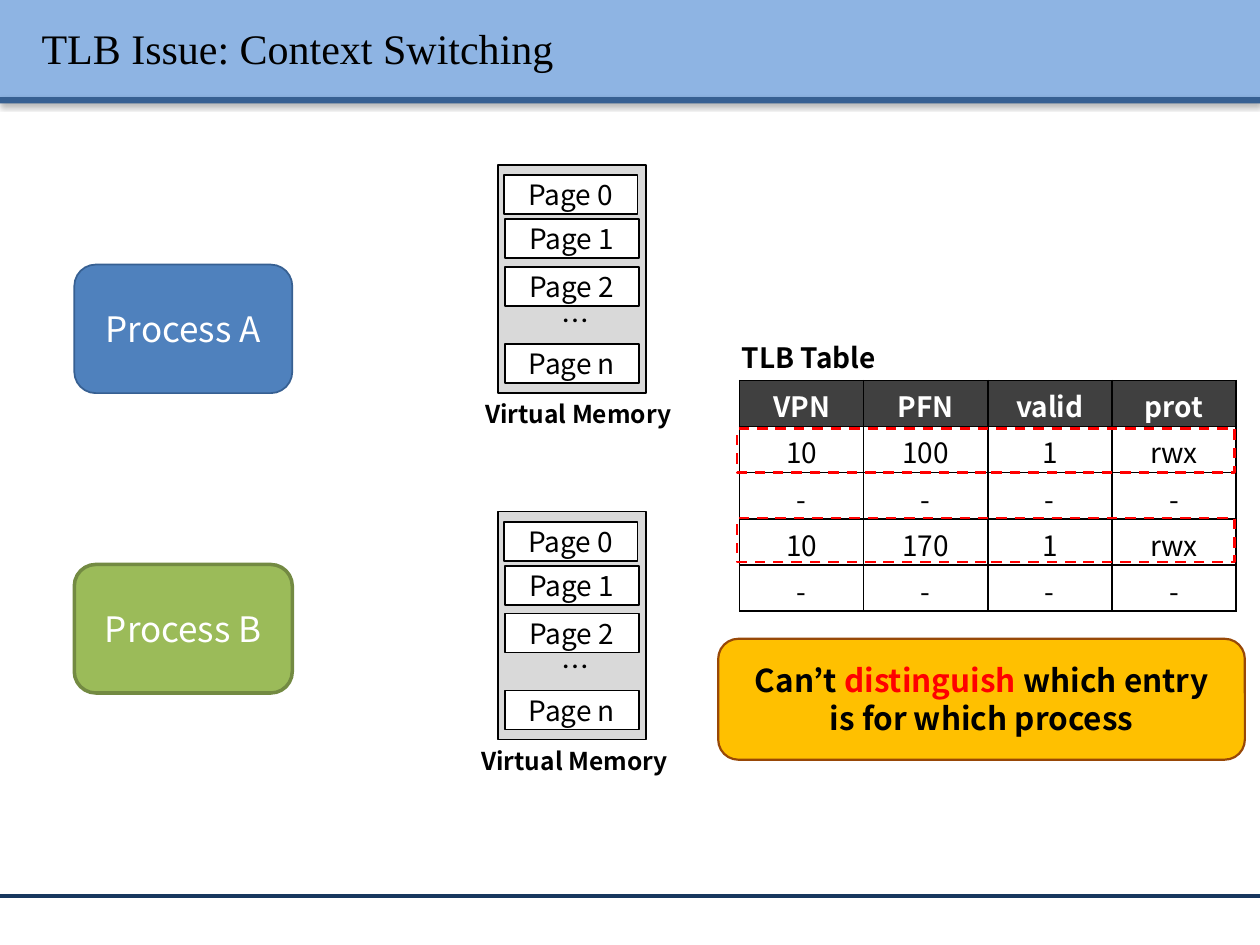
import pptx
import pptx.util
import pptx.dml.color
import pptx.enum.dml
import pptx.enum.shapes
import pptx.enum.text
import pptx.oxml
import pptx.oxml.ns
from dataclasses import dataclass
from pptx.util import Inches


@dataclass(frozen=True)
class Theme:
    title_font: str = "Times New Roman"
    body_font: str = "Noto Sans CJK KR"
    black: str = "000000"
    white: str = "FFFFFF"
    red: str = "FF0000"
    header: str = "8EB4E3"
    blue_edge: str = "376092"
    footer: str = "17375E"
    process_a: str = "4F81BD"
    process_b: str = "9BBB59"
    green_edge: str = "738A42"
    memory: str = "D9D9D9"
    table_head: str = "404040"
    callout: str = "FFC000"
    callout_edge: str = "984807"
    title_size: int = 24
    process_size: int = 20
    callout_size: int = 18
    body_size: int = 16
    caption_size: int = 14


theme = Theme()
rgb = pptx.dml.color.RGBColor.from_string
SHAPE = pptx.enum.shapes.MSO_SHAPE
ALIGN = pptx.enum.text.PP_ALIGN
MIDDLE = pptx.enum.text.MSO_ANCHOR.MIDDLE
NS = pptx.oxml.ns.nsdecls("a")


def add_box(kind, left, top, width, height, fill=None, edge=None, edge_width=1):
    box = slide.shapes.add_shape(kind, Inches(left), Inches(top), Inches(width), Inches(height))
    box.shadow.inherit = False
    if fill:
        box.fill.solid()
        box.fill.fore_color.rgb = rgb(fill)
    else:
        box.fill.background()
    if edge:
        box.line.color.rgb = rgb(edge)
        box.line.width = pptx.util.Pt(edge_width)
    else:
        box.line.fill.background()
    return box


def write(frame, text, size, color=theme.black, bold=False, align=ALIGN.CENTER, line_height=None):
    frame.word_wrap = True
    paragraph = frame.paragraphs[0]
    paragraph.text = text
    paragraph.alignment = align
    if line_height:
        paragraph.line_spacing = pptx.util.Pt(size * line_height)
    paragraph.font.name = theme.body_font
    paragraph.font.size = pptx.util.Pt(size)
    paragraph.font.bold = bold
    paragraph.font.color.rgb = rgb(color)
    return paragraph


presentation = pptx.Presentation()
presentation.slide_width = Inches(10)
presentation.slide_height = Inches(7.5)
slide = presentation.slides.add_slide(presentation.slide_layouts[5])

for top, height, color in [(0, 0.77, theme.header), (0.77, 0.05, theme.blue_edge)]:
    band = add_box(SHAPE.RECTANGLE, 0, top, 10, height, color)
    band.element.spPr.find(pptx.oxml.ns.qn("a:effectLst")).append(pptx.oxml.parse_xml(
        f'<a:outerShdw {NS} blurRad="39370" dist="20320" dir="5400000" rotWithShape="0">'
        f'<a:srgbClr val="{theme.black}"><a:alpha val="38000"/></a:srgbClr></a:outerShdw>'))

footer_rule = slide.shapes.add_connector(
    pptx.enum.shapes.MSO_CONNECTOR.STRAIGHT, 0, Inches(7.11), Inches(10), Inches(7.11))
footer_rule.line.color.rgb = rgb(theme.footer)
footer_rule.line.width = pptx.util.Pt(2)
footer_rule.element.spPr.append(pptx.oxml.parse_xml(f"<a:effectLst {NS}/>"))

title = slide.shapes.title
title.element.getparent().append(title.element)
title.left, title.top, title.width, title.height = [Inches(v) for v in (0.23, 0.06, 9.61, 0.64)]
title.text_frame.vertical_anchor = MIDDLE
heading = write(title.text_frame, "TLB Issue: Context Switching", theme.title_size, align=ALIGN.LEFT)
heading.font.name = theme.title_font
heading.runs[0].font.fill.solid()
heading.runs[0].font.color.rgb = rgb(theme.black)
heading.runs[0].font.size = pptx.util.Pt(theme.title_size)
heading.runs[0].font.fill.fore_color.rgb = rgb(theme.black)
heading.runs[0].font.name = theme.title_font
heading.runs[0].font.bold = False
heading.runs[0].font._element.find(pptx.oxml.ns.qn("a:solidFill")).addnext(pptx.oxml.parse_xml(
    f'<a:effectLst {NS}><a:outerShdw blurRad="38100" dist="38100" dir="2700000">'
    f'<a:srgbClr val="{theme.black}"/></a:outerShdw></a:effectLst>'))

for name, top, fill, edge, edge_width in [
    ("Process A", 2.1, theme.process_a, theme.blue_edge, 1),
    ("Process B", 4.48, theme.process_b, theme.green_edge, 2),
]:
    process = add_box(SHAPE.ROUNDED_RECTANGLE, 0.59, top, 1.73, 1.02, fill, edge, edge_width)
    write(process.text_frame, name, theme.process_size, theme.white)

pages = [("Page 0", 4, 0.08), ("Page 1", 4.01, 0.43), ("Page 2", 4.01, 0.81), ("Page n", 4.01, 1.42)]
for memory_top, caption_left in [(1.31, 3.63), (4.06, 3.6)]:
    add_box(SHAPE.RECTANGLE, 3.95, memory_top, 1.18, 1.81, theme.memory, theme.black)
    for name, left, offset in pages:
        page = add_box(SHAPE.RECTANGLE, left, memory_top + offset, 1.06, 0.31, theme.white, theme.black)
        page.text_frame.margin_left = page.text_frame.margin_right = 0
        write(page.text_frame, name, theme.body_size)
    ellipsis = slide.shapes.add_textbox(Inches(4.36), Inches(memory_top + 1.05), Inches(1.16), Inches(0.37))
    write(ellipsis.text_frame, "…", theme.body_size, align=ALIGN.LEFT, line_height=1.2)
    caption = slide.shapes.add_textbox(
        Inches(caption_left), Inches(memory_top + 1.81), Inches(1.92), Inches(0.34))
    write(caption.text_frame, "Virtual Memory", theme.caption_size, bold=True, line_height=1.2)

table_label = slide.shapes.add_textbox(Inches(5.79), Inches(2.65), Inches(1.54), Inches(0.37))
write(table_label.text_frame, "TLB Table", theme.body_size, bold=True, align=ALIGN.LEFT, line_height=1.2)

entries = [
    ["VPN", "PFN", "valid", "prot"],
    ["10", "100", "1", "rwx"],
    ["-"] * 4,
    ["10", "170", "1", "rwx"],
    ["-"] * 4,
]
tlb = slide.shapes.add_table(5, 4, Inches(5.87), Inches(3.02), Inches(3.94), Inches(1.83)).table
for row, values in enumerate(entries):
    for column, value in enumerate(values):
        cell = tlb.cell(row, column)
        is_head = row == 0
        cell.margin_top = Inches(0.04)
        cell.margin_bottom = 0
        write(cell.text_frame, value, theme.body_size, theme.white if is_head else theme.black, is_head)
        properties = cell._tc.get_or_add_tcPr()
        for side in ("lnL", "lnR", "lnT", "lnB"):
            properties.append(pptx.oxml.parse_xml(
                f'<a:{side} {NS} w="12700"><a:solidFill><a:srgbClr val="{theme.black}"/>'
                f"</a:solidFill></a:{side}>"))
        cell.fill.solid()
        cell.fill.fore_color.rgb = rgb(theme.table_head if is_head else theme.white)

for top in (3.4, 4.11):
    highlight = add_box(SHAPE.RECTANGLE, 5.85, top, 3.95, 0.35, edge=theme.red, edge_width=1.5)
    highlight.line.dash_style = pptx.enum.dml.MSO_LINE.DASH

callout = add_box(SHAPE.ROUNDED_RECTANGLE, 5.7, 5.07, 4.18, 0.96, theme.callout, theme.callout_edge, 1.25)
callout.text_frame.margin_left = callout.text_frame.margin_right = Inches(0.12)
message = write(callout.text_frame, "Can’t ", theme.callout_size, bold=True, line_height=1.2)
emphasis = message.add_run()
emphasis.text = "distinguish "
emphasis.font.color.rgb = rgb(theme.red)
message.add_run().text = "which entry is for which process"

presentation.save("out.pptx")
